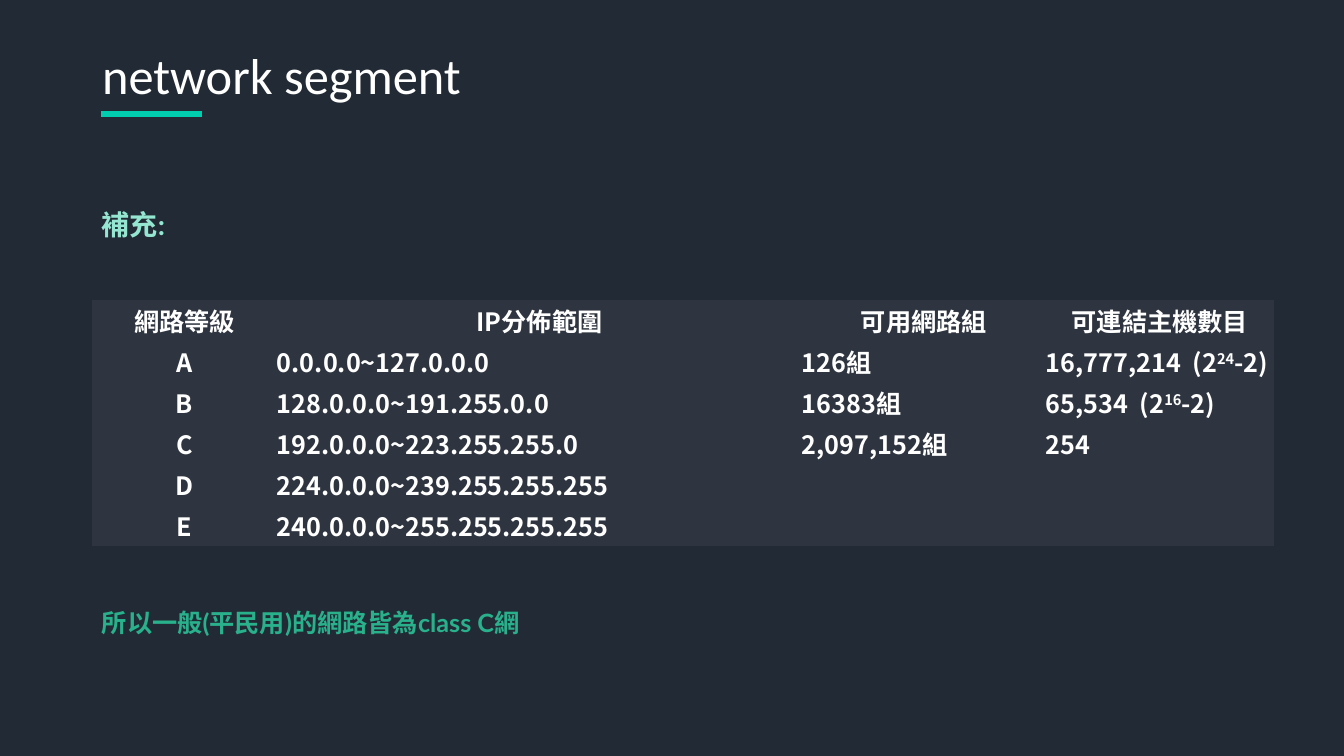
"""Build the network segment slide with its table of IP address classes."""
from lxml import etree
from pptx import Presentation
from pptx.dml.color import RGBColor
from pptx.enum.shapes import MSO_CONNECTOR
from pptx.enum.text import MSO_ANCHOR, MSO_AUTO_SIZE, PP_ALIGN
from pptx.oxml.ns import qn
from pptx.util import Emu, Pt

STRAIGHT = MSO_CONNECTOR.STRAIGHT
TOP, MIDDLE = MSO_ANCHOR.TOP, MSO_ANCHOR.MIDDLE
LEFT, CENTER = PP_ALIGN.LEFT, PP_ALIGN.CENTER
NO_AUTOFIT = MSO_AUTO_SIZE.NONE

TITLE = "network segment"
CLASSES = [
    ["網路等級", "IP分佈範圍", "可用網路組", "可連結主機數目"],
    ["A", "0.0.0.0~127.0.0.0", "126組", ("16,777,214  (2", "24", "-2)")],
    ["B", "128.0.0.0~191.255.0.0", "16383組", ("65,534  (2", "16", "-2)")],
    ["C", "192.0.0.0~223.255.255.0", "2,097,152組", "254"],
    ["D", "224.0.0.0~239.255.255.255", "", ""],
    ["E", "240.0.0.0~255.255.255.255", "", ""],
]
COLORS = {
    "background": "222A35", "title": "FFFFFF", "accent": "01CEAF",
    "cell": "2F3540", "cell_text": "FFFFFF",
    "supplement": "94E6D0", "conclusion": "29B18C",
}
NOTES = [
    ("補充:", 203, 44, 20, "supplement"),
    ("所以一般(平民用)的網路皆為class C網", 602, 40, 18, "conclusion"),
]

CJK_FONT = "Noto Sans CJK SC"
NO_STYLE = "{2D5ABB26-0587-4C30-8999-92F81FD0307C}"
MARGIN_LEFT = 92
COLUMN_WIDTHS = [185, 525, 244, 228]
TABLE_TOP, ROW_HEIGHT = 300, 41


def px(length):
    return Emu(round(length * 914400 / 100.8))


def rgb(name):
    return RGBColor.from_string(COLORS[name])


def style_run(run, size, color, font, bold):
    run.font.size = Pt(size)
    run.font.bold = bold
    run.font.name = font
    run.font.color.rgb = rgb(color)
    east_asian = etree.SubElement(run.font._element, qn("a:ea"))
    east_asian.set("typeface", CJK_FONT)


def add_title(slide):
    title = slide.shapes.title
    title.left, title.top, title.width, title.height = map(px, (MARGIN_LEFT, 39, 447, 72))
    frame = title.text_frame
    frame.text = TITLE
    frame.auto_size = NO_AUTOFIT
    frame.word_wrap = False
    frame.vertical_anchor = TOP
    frame.paragraphs[0].alignment = LEFT
    style_run(frame.paragraphs[0].runs[0], 36, "title", "Calibri", False)

    underline = slide.shapes.add_connector(STRAIGHT, px(101), px(114), px(202), px(114))
    underline.line.color.rgb = rgb("accent")
    underline.line.width = Pt(4.5)
    etree.SubElement(underline._element.spPr, qn("a:effectLst"))


def fill_cell(cell, content, alignment):
    cell.fill.solid()
    cell.fill.fore_color.rgb = rgb("cell")
    cell.vertical_anchor = MIDDLE
    cell.margin_left = cell.margin_right = cell.margin_top = cell.margin_bottom = 0
    paragraph = cell.text_frame.paragraphs[0]
    paragraph.alignment = alignment
    paragraph.font.size = Pt(18)
    parts = content if isinstance(content, tuple) else (content,)
    for index, part in enumerate(parts):
        if part:
            run = paragraph.add_run()
            run.text = part
            style_run(run, 18, "cell_text", CJK_FONT, True)
            if index == 1:
                run.font._element.set("baseline", "30000")


def add_classes(slide):
    table = slide.shapes.add_table(
        len(CLASSES), len(COLUMN_WIDTHS), px(MARGIN_LEFT), px(TABLE_TOP),
        px(sum(COLUMN_WIDTHS)), px(ROW_HEIGHT * len(CLASSES))).table
    table.first_row = table.horz_banding = False
    table._tbl.tblPr.find(qn("a:tableStyleId")).text = NO_STYLE
    for column, width in zip(table.columns, COLUMN_WIDTHS):
        column.width = px(width)
    for r, row in enumerate(CLASSES):
        table.rows[r].height = px(ROW_HEIGHT)
        for c, content in enumerate(row):
            fill_cell(table.cell(r, c), content, CENTER if r == 0 or c == 0 else LEFT)


def add_notes(slide):
    for text, top, height, size, color in NOTES:
        frame = slide.shapes.add_textbox(
            px(MARGIN_LEFT), px(top), px(524), px(height)).text_frame
        frame.word_wrap = True
        frame.text = text
        style_run(frame.paragraphs[0].runs[0], size, color, "Lato", True)


def main():
    deck = Presentation()
    deck.slide_width, deck.slide_height = px(1344), px(756)
    slide = deck.slides.add_slide(deck.slide_layouts[5])
    slide.background.fill.solid()
    slide.background.fill.fore_color.rgb = rgb("background")
    add_title(slide)
    add_classes(slide)
    add_notes(slide)
    deck.save("out.pptx")


if __name__ == "__main__":
    main()
